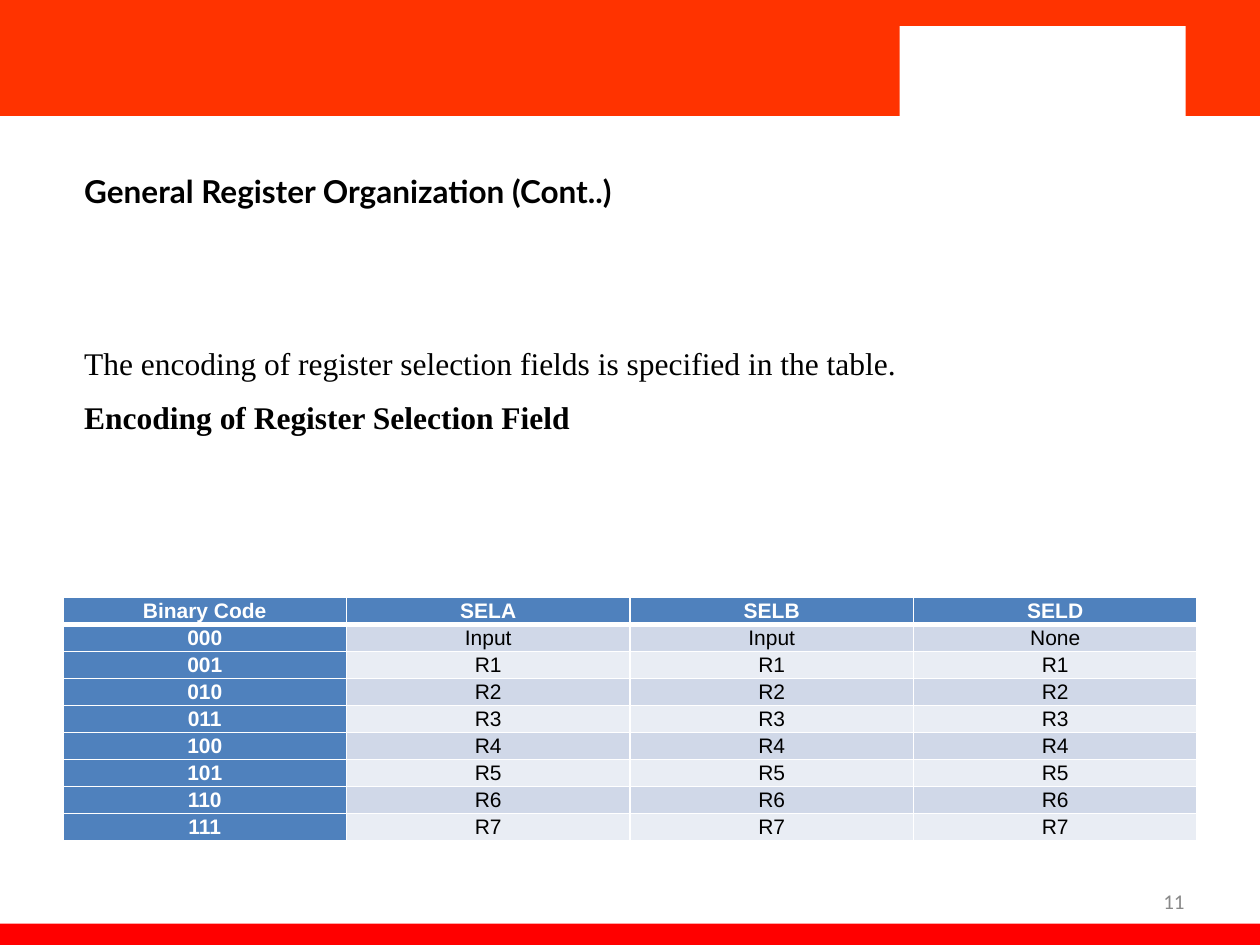
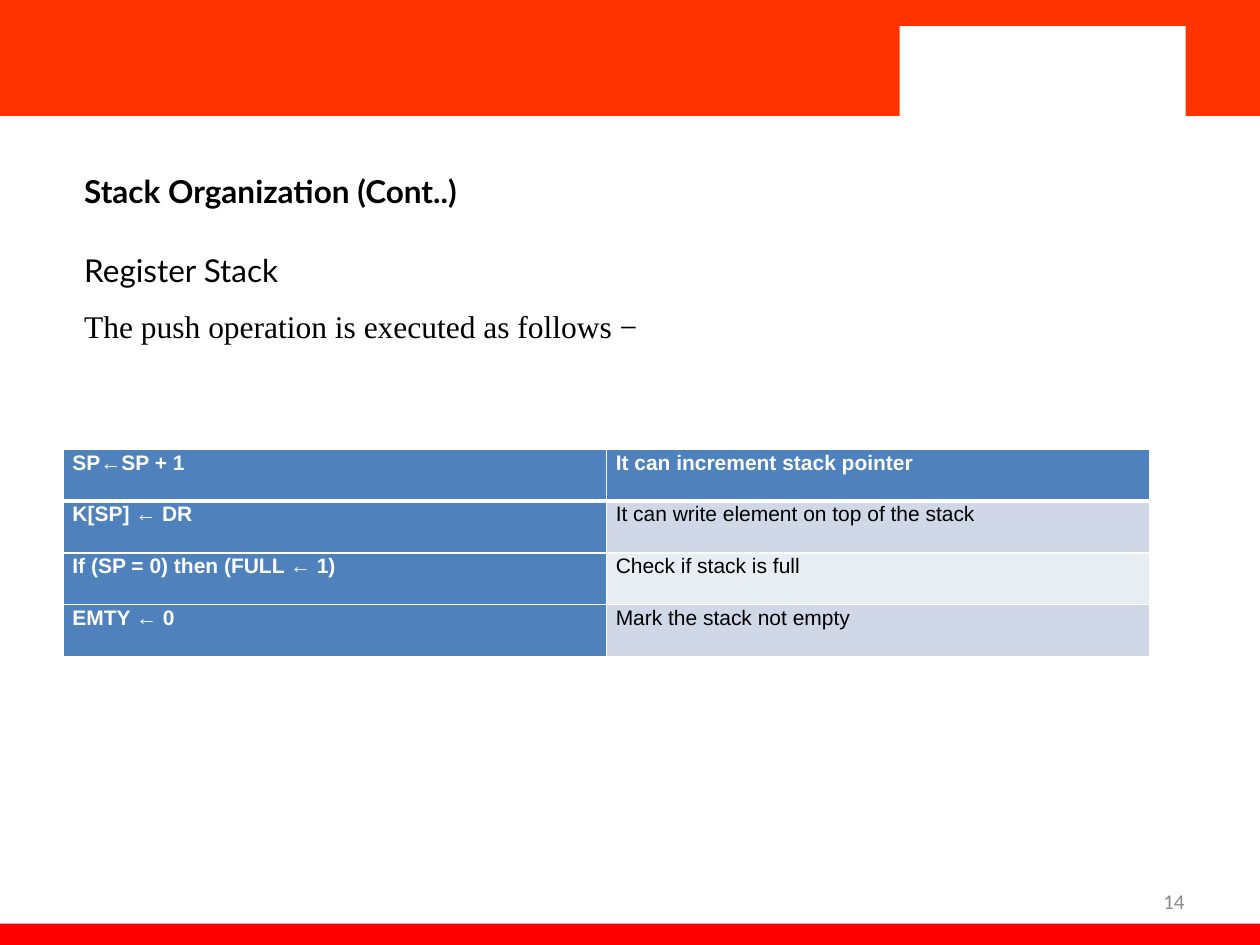
from dataclasses import dataclass

from lxml import etree
from pptx import Presentation
from pptx.dml.color import RGBColor
from pptx.enum.shapes import MSO_SHAPE
from pptx.enum.text import MSO_ANCHOR, PP_ALIGN
from pptx.oxml.ns import qn
from pptx.util import Pt

RECTANGLE = MSO_SHAPE.RECTANGLE
TOP, MIDDLE = MSO_ANCHOR.TOP, MSO_ANCHOR.MIDDLE
LEFT, CENTER = PP_ALIGN.LEFT, PP_ALIGN.CENTER
RIGHT, JUSTIFY = PP_ALIGN.RIGHT, PP_ALIGN.JUSTIFY


@dataclass(frozen=True)
class Theme:
    header: str = "FF3300"
    footer: str = "FF0000"
    white: str = "FFFFFF"
    ink: str = "000000"
    number: str = "898989"
    table_head: str = "4F81BD"
    table_bands: tuple = ("D0D8E8", "E9EDF4")
    title_font: str = "Lato"
    body_font: str = "Times New Roman"
    table_font: str = "Arial"
    number_font: str = "Calibri"
    text_size: int = 18
    small_size: int = 12


THEME = Theme()

SLIDE_SIZE = (720, 540)
FRAME_BANDS = (
    ((0, 0, 720, 66.24), THEME.header),
    ((0, 527.8, 720, 16), THEME.footer),
    ((483.84, 0, 236.16, 66.24), THEME.header),
    ((514.08, 14.9, 163.44, 54), THEME.white),
)
NUMBER_BOX = (516.24, 500.4, 167.76, 28.8)
TITLE_BOX = (41.04, 75.6, 633.6, 56.88)
BODY_LEFT, BODY_TOP, BODY_WIDTH = 41.04, 109.44, 633.6

LOOSE = {"line_spacing": 1.5}
SPACED = {"line_spacing": 1.07, "space_after": Pt(8)}


def points(box):
    return [Pt(length) for length in box]


def apply_format(target, values):
    for name, value in values.items():
        setattr(target, name, value)


def add_line(paragraph, text, layout, font, size, color, bold=False):
    apply_format(paragraph, layout)
    run = paragraph.add_run()
    run.text = text
    apply_format(run.font, {"name": font, "size": Pt(size), "bold": bold})
    run.font.color.rgb = RGBColor.from_string(color)


def add_text(slide, box, lines, anchor=MIDDLE, inset_top=2.9):
    """Write lines, each a tuple of add_line arguments, in one text box."""
    frame = slide.shapes.add_textbox(*points(box)).text_frame
    apply_format(frame, {
        "word_wrap": True, "vertical_anchor": anchor,
        "margin_left": Pt(7.2), "margin_right": Pt(7.2),
        "margin_top": Pt(inset_top), "margin_bottom": Pt(3.6),
    })
    for index, line in enumerate(lines):
        paragraph = frame.add_paragraph() if index else frame.paragraphs[0]
        add_line(paragraph, *line)


def add_band(slide, box, color):
    band = slide.shapes.add_shape(RECTANGLE, *points(box))
    band.shadow.inherit = False
    band.fill.solid()
    band.fill.fore_color.rgb = RGBColor.from_string(color)
    band.line.fill.background()


def add_page(deck, title, number):
    """Add a slide with the shared bands, title and slide number."""
    slide = deck.slides.add_slide(deck.slide_layouts[6])
    for box, color in FRAME_BANDS:
        add_band(slide, box, color)
    add_text(slide, NUMBER_BOX, [
        (str(number), {"alignment": RIGHT}, THEME.number_font,
         THEME.small_size, THEME.number)], inset_top=3.6)
    add_text(slide, TITLE_BOX, [
        (title, LOOSE, THEME.title_font, THEME.text_size, THEME.ink, True)])
    return slide


def set_borders(cell, widths):
    """Draw white cell borders; widths maps each side (L, R, T, B) to points."""
    properties = cell._tc.get_or_add_tcPr()
    for side, width in widths.items():
        border = etree.SubElement(properties, qn(f"a:ln{side}"), w=str(Pt(width)))
        fill = etree.SubElement(border, qn("a:solidFill"))
        etree.SubElement(fill, qn("a:srgbClr"), val=THEME.white)


def add_register_table(slide, left, top, width, row_height, rows, alignment):
    """Add a table whose first row and first column are headings."""
    row_count, column_count = len(rows), len(rows[0])
    table = slide.shapes.add_table(
        row_count, column_count,
        *points((left, top, width, row_height * row_count))).table
    table.first_col = True
    for row in table.rows:
        row.height = Pt(row_height)
    for column in table.columns:
        column.width = Pt(width / column_count)
    for r, row in enumerate(rows):
        for c, text in enumerate(row):
            heading = r == 0 or c == 0
            cell = table.cell(r, c)
            apply_format(cell, {
                "margin_left": Pt(5.4), "margin_right": Pt(5.4),
                "margin_top": 0, "margin_bottom": 0, "vertical_anchor": TOP,
            })
            set_borders(cell, {"L": 1, "R": 1, "T": 3 if r == 1 else 1,
                               "B": 3 if r == 0 else 1})
            color = THEME.table_head if heading else THEME.table_bands[(r - 1) % 2]
            cell.fill.solid()
            cell.fill.fore_color.rgb = RGBColor.from_string(color)
            add_line(cell.text_frame.paragraphs[0], text,
                     {**SPACED, "alignment": alignment}, THEME.table_font,
                     THEME.small_size, THEME.white if heading else THEME.ink, heading)


def add_encoding_slide(deck):
    slide = add_page(deck, "General Register Organization (Cont..)", 11)
    style = (SPACED, THEME.body_font, THEME.text_size, THEME.ink)
    add_text(slide, (BODY_LEFT, BODY_TOP, BODY_WIDTH, 226.08), [
        ("The encoding of register selection fields is specified in the table.", *style),
        ("Encoding of Register Selection Field", *style, True),
    ])
    rows = [("Binary Code", "SELA", "SELB", "SELD"),
            ("000", "Input", "Input", "None")]
    rows += [(f"{code:03b}", *[f"R{code}"] * 3) for code in range(1, 8)]
    add_register_table(slide, 36, 341.5, 648, 14.3, rows, CENTER)


def add_push_slide(deck):
    slide = add_page(deck, "Stack Organization (Cont..)", 14)
    layout = {**LOOSE, "alignment": JUSTIFY}
    add_text(slide, (BODY_LEFT, BODY_TOP, BODY_WIDTH, 242.64), [
        ("Register Stack", layout, THEME.title_font, THEME.text_size, THEME.ink),
        ("The push operation is executed as follows −", layout,
         THEME.body_font, THEME.text_size, THEME.ink),
    ], anchor=TOP, inset_top=23)
    add_register_table(slide, 36, 256.8, 621, 29.6, [
        ("SP←SP + 1", "It can increment stack pointer"),
        ("K[SP] ← DR", "It can write element on top of the stack"),
        ("If (SP = 0) then (FULL ← 1)", "Check if stack is full"),
        ("EMTY ← 0", "Mark the stack not empty"),
    ], LEFT)


def main():
    deck = Presentation()
    deck.slide_width, deck.slide_height = points(SLIDE_SIZE)
    add_encoding_slide(deck)
    add_push_slide(deck)
    deck.save("out.pptx")


if __name__ == "__main__":
    main()
